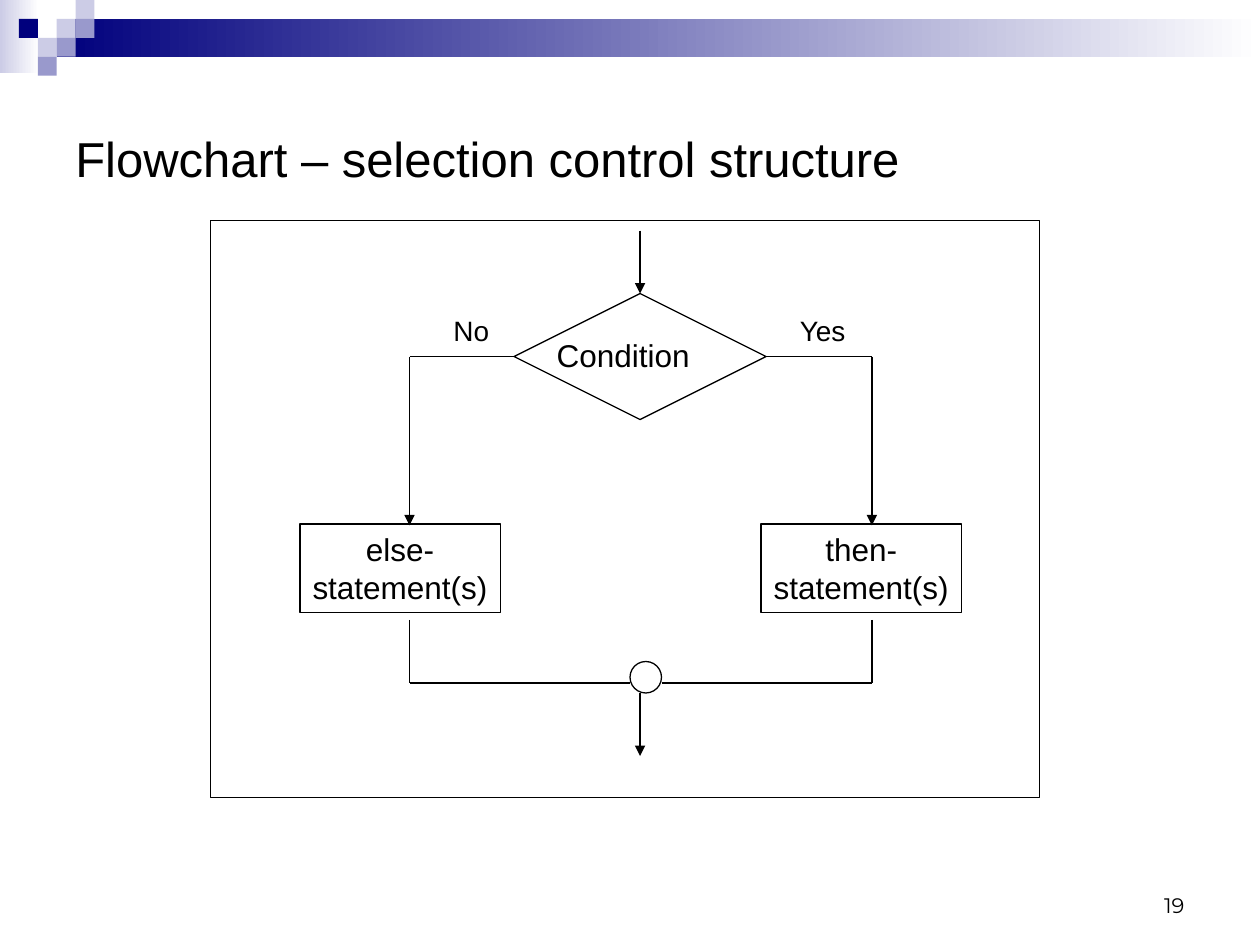
import pptx
import pptx.dml.color
import pptx.enum.shapes
import pptx.enum.text
import pptx.oxml.ns
import pptx.util
from dataclasses import dataclass
from lxml import etree
from pptx.util import Inches


@dataclass(frozen=True)
class Theme:
    black = pptx.dml.color.RGBColor(0x00, 0x00, 0x00)
    white = pptx.dml.color.RGBColor(0xFF, 0xFF, 0xFF)
    navy = pptx.dml.color.RGBColor(0x00, 0x00, 0x7D)
    violet = pptx.dml.color.RGBColor(0x99, 0x99, 0xCC)
    lavender = pptx.dml.color.RGBColor(0xCC, 0xCC, 0xE6)
    font = "Arial"
    number_font = "Montserrat"
    title_size = pptx.util.Pt(28)
    box_size = pptx.util.Pt(18)
    label_size = pptx.util.Pt(16)
    number_size = pptx.util.Pt(12)
    line_width = pptx.util.Pt(0.75)


theme = Theme()
SHAPE = pptx.enum.shapes.MSO_SHAPE
ALIGN = pptx.enum.text.PP_ALIGN
ANCHOR = pptx.enum.text.MSO_ANCHOR

presentation = pptx.Presentation()
presentation.slide_width = Inches(10)
presentation.slide_height = Inches(7.5)
slide = presentation.slides.add_slide(presentation.slide_layouts[6])


def add_shape(kind, left, top, width, height, outlined=False):
    shape = slide.shapes.add_shape(
        kind, Inches(left), Inches(top), Inches(width), Inches(height))
    shape.shadow.inherit = False
    if outlined:
        shape.fill.background()
        shape.line.color.rgb = theme.black
        shape.line.width = theme.line_width
    else:
        shape.line.fill.background()
    return shape


def write(shape, text, size, font=theme.font, align=ALIGN.LEFT,
          anchor=ANCHOR.TOP, wrap=False):
    frame = shape.text_frame
    frame.text = text
    frame.word_wrap = wrap
    frame.vertical_anchor = anchor
    if not wrap:
        frame.auto_size = pptx.enum.text.MSO_AUTO_SIZE.SHAPE_TO_FIT_TEXT
    for paragraph in frame.paragraphs:
        paragraph.alignment = align
        paragraph.font.name = font
        paragraph.font.size = size
        paragraph.font.color.rgb = theme.black


# Header: two fading bars
for left, top, width, height, color in [
    (0, 0, 0.31, 0.58, theme.lavender),
    (0.45, 0.15, 9.55, 0.3, theme.navy),
]:
    bar = add_shape(SHAPE.RECTANGLE, left, top, width, height)
    bar.fill.gradient()
    bar.fill.gradient_angle = 0
    for stop, stop_color, position in zip(
            bar.fill.gradient_stops, (color, theme.white), (0, 1)):
        stop.color.rgb = stop_color
        stop.position = position

# Header: mosaic of small squares
tile = 0.15
for column, row, color in [
    (3, 1, theme.lavender), (4, 0, theme.lavender), (4, 1, theme.violet),
    (2, 2, theme.lavender), (1, 1, theme.navy), (3, 2, theme.violet),
    (2, 3, theme.violet),
]:
    square = add_shape(SHAPE.RECTANGLE, column * tile, row * tile, tile, tile)
    square.fill.solid()
    square.fill.fore_color.rgb = color

# Title and page number
title = slide.shapes.add_textbox(Inches(0.5), Inches(0.5), Inches(9), Inches(1.5))
write(title, "Flowchart – selection control structure", theme.title_size,
      anchor=ANCHOR.MIDDLE, wrap=True)
number = slide.shapes.add_textbox(
    Inches(7.17), Inches(6.83), Inches(2.33), Inches(0.5))
write(number, "19", theme.number_size, theme.number_font, ALIGN.RIGHT,
      ANCHOR.BOTTOM, True)

# Flowchart frame, decision and junction
add_shape(SHAPE.RECTANGLE, 1.67, 1.75, 6.58, 4.58, outlined=True)
add_shape(SHAPE.FLOWCHART_DECISION, 4.08, 2.33, 2, 1, outlined=True)
add_shape(SHAPE.FLOWCHART_CONNECTOR, 5, 5.25, 0.25, 0.25, outlined=True)

# Statement boxes
for left, text in [(2.38, "else-\nstatement(s)"), (6.04, "then-\nstatement(s)")]:
    box = add_shape(SHAPE.RECTANGLE, left, 4.16, 1.59, 0.7, outlined=True)
    write(box, text, theme.box_size, align=ALIGN.CENTER)

# Condition and branch labels
for left, top, width, height, text, size in [
    (4.32, 2.62, 1.27, 0.4, "Condition", theme.box_size),
    (6.25, 2.44, 0.58, 0.37, "Yes", theme.label_size),
    (3.5, 2.44, 0.48, 0.37, "No", theme.label_size),
]:
    label = slide.shapes.add_textbox(
        Inches(left), Inches(top), Inches(width), Inches(height))
    write(label, text, size)

# Flow lines: the entry and exit, then the same path for each branch
center = 5.08
flow_lines = [(center, 1.83, center, 2.33, True), (center, 5.5, center, 6, True)]
for branch, decision_edge, junction_edge in [(3.25, 4.08, 5), (6.92, 6.08, 5.25)]:
    flow_lines += [
        (decision_edge, 2.83, branch, 2.83, False),
        (branch, 2.83, branch, 4.17, True),
        (branch, 4.92, branch, 5.42, False),
        (branch, 5.42, junction_edge, 5.42, False),
    ]
for x1, y1, x2, y2, has_arrow in flow_lines:
    connector = slide.shapes.add_connector(
        pptx.enum.shapes.MSO_CONNECTOR.STRAIGHT,
        Inches(x1), Inches(y1), Inches(x2), Inches(y2))
    connector.line.color.rgb = theme.black
    connector.line.width = theme.line_width
    properties = connector._element.spPr
    if has_arrow:
        etree.SubElement(properties.find(pptx.oxml.ns.qn("a:ln")),
                         pptx.oxml.ns.qn("a:tailEnd"), type="triangle")
    etree.SubElement(properties, pptx.oxml.ns.qn("a:effectLst"))

presentation.save("out.pptx")
